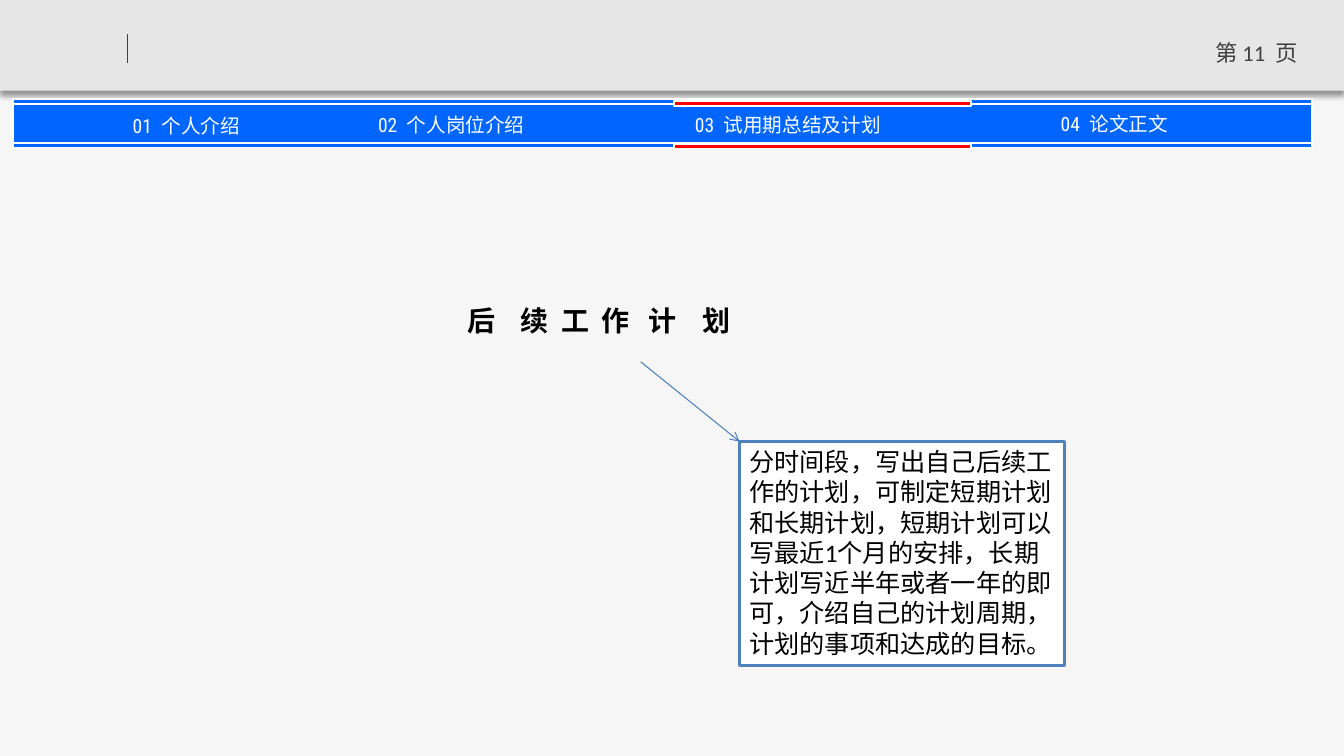
from lxml import etree
from pptx import Presentation
from pptx.dml.color import RGBColor
from pptx.enum.shapes import MSO_CONNECTOR, MSO_SHAPE
from pptx.enum.text import MSO_ANCHOR, PP_ALIGN
from pptx.oxml import parse_xml
from pptx.oxml.ns import nsdecls, qn
from pptx.util import Pt

EMU_PER_PX = 9144  # 100 px to the inch


def px(length):
    return length * EMU_PER_PX


def color(value):
    return RGBColor.from_string(value)


class SlideBuilder:
    BODY_FONT = "Calibri"
    NAV_FONT = "Roboto Condensed"
    BLUE, RED, WHITE, GRAY, BLACK = "0066FF", "FF0000", "FFFFFF", "404040", "000000"

    def __init__(self, presentation, background):
        self.slide = presentation.slides.add_slide(presentation.slide_layouts[6])
        fill = self.slide.background.fill
        fill.solid()
        fill.fore_color.rgb = color(background)

    def rectangle(self, left, top, width, height, fill, line=None, line_width=1.5):
        shape = self.slide.shapes.add_shape(
            MSO_SHAPE.RECTANGLE, px(left), px(top), px(width), px(height))
        shape.shadow.inherit = False
        shape.fill.solid()
        shape.fill.fore_color.rgb = color(fill)
        if line:
            shape.line.color.rgb = color(line)
            shape.line.width = Pt(line_width)
        else:
            shape.line.fill.background()
        return shape

    def drop_shadow(self, shape):
        effects = shape._element.spPr.find(qn("a:effectLst"))
        effects.append(parse_xml(
            f'<a:outerShdw {nsdecls("a")} blurRad="{Pt(4)}" dist="{Pt(3)}" dir="5400000" '
            'algn="t" rotWithShape="0"><a:srgbClr val="000000">'
            '<a:alpha val="40000"/></a:srgbClr></a:outerShdw>'))

    def line(self, start, end, line_color, arrow=False):
        connector = self.slide.shapes.add_connector(
            MSO_CONNECTOR.STRAIGHT, *map(px, start), *map(px, end))
        connector.line.color.rgb = color(line_color)
        connector.line.width = Pt(0.75)
        properties = connector._element.spPr
        if arrow:
            etree.SubElement(properties.get_or_add_ln(), qn("a:tailEnd"), type="arrow")
        etree.SubElement(properties, qn("a:effectLst"))

    def set_text(self, shape, parts, size, font_color, font=BODY_FONT,
                 align=PP_ALIGN.LEFT, bold=False):
        """Each part is (text, extra points of letter spacing)."""
        shape.text_frame.word_wrap = True
        paragraph = shape.text_frame.paragraphs[0]
        paragraph.alignment = align
        paragraph.font.name = font
        paragraph.font.size = Pt(size)
        paragraph.font.bold = bold
        paragraph.font.color.rgb = color(font_color)
        for text, spacing in parts:
            run = paragraph.add_run()
            run.text = text
            if spacing:
                run.font._element.set("spc", str(round(spacing * 100)))

    def text_box(self, left, top, width, height, parts, size, font_color, **style):
        shape = self.slide.shapes.add_textbox(px(left), px(top), px(width), px(height))
        self.set_text(shape, parts, size, font_color, **style)
        return shape

    def nav_label(self, left, top, number, title):
        shape = self.text_box(left, top, 248, 24, [(number, 0), (" ", 3.5), (title, 0)],
                              14, self.WHITE, font=self.NAV_FONT, align=PP_ALIGN.CENTER)
        frame = shape.text_frame
        frame.vertical_anchor = MSO_ANCHOR.MIDDLE
        frame.margin_left = frame.margin_right = frame.margin_top = frame.margin_bottom = 0


def main():
    presentation = Presentation()
    presentation.slide_width, presentation.slide_height = px(1334), px(750)
    builder = SlideBuilder(presentation, "F6F6F6")

    # Header with page number
    builder.drop_shadow(builder.rectangle(0, 0, 1334, 90, "E6E6E6"))
    builder.line((127, 34), (127, 63), builder.GRAY)
    builder.text_box(1187, 34, 120, 40, [("第 11", 0), (" ", 3.6), ("页", 0)],
                     16, builder.GRAY, align=PP_ALIGN.CENTER)

    # Navigation bar: band, then thin stripes below and above
    for top, height in ((103, 43), (142, 5), (98, 5)):
        builder.rectangle(13, top, 1289, height, builder.BLUE, builder.WHITE)
    for left, top, number, title in (
            (61, 113, "01", "个人介绍"), (324, 112, "02", "个人岗位介绍"),
            (658, 112, "03", "试用期总结及计划"), (982, 111, "04", "论文正文")):
        builder.nav_label(left, top, number, title)

    # Marks of the current section
    for top in (143, 100):
        builder.rectangle(669, top, 295, 5, builder.RED, builder.WHITE)

    # Title, with gaps of different widths between its characters
    title_parts = [("后", 0)]
    for character, gap in zip("续工作计划", (13.5, 4.5, 4.5, 9, 13.5)):
        title_parts += [(" ", gap), (character, 0)]
    builder.text_box(454, 296, 528, 44, title_parts, 20, builder.BLACK, bold=True)

    # Explanation box and the arrow to it
    note = builder.rectangle(734, 438, 323, 222, builder.WHITE, "4F81BD", 2)
    note.text_frame.vertical_anchor = MSO_ANCHOR.TOP
    builder.set_text(note, [(
        "分时间段，写出自己后续工作的计划，可制定短期计划和长期计划，"
        "短期计划可以写最近1个月的安排，长期计划写近半年或者一年的即可，"
        "介绍自己的计划周期，计划的事项和达成的目标。", 0)], 18, builder.BLACK)
    builder.line((636, 359), (734, 438), "4B7EBC", arrow=True)

    presentation.save("out.pptx")


if __name__ == "__main__":
    main()
